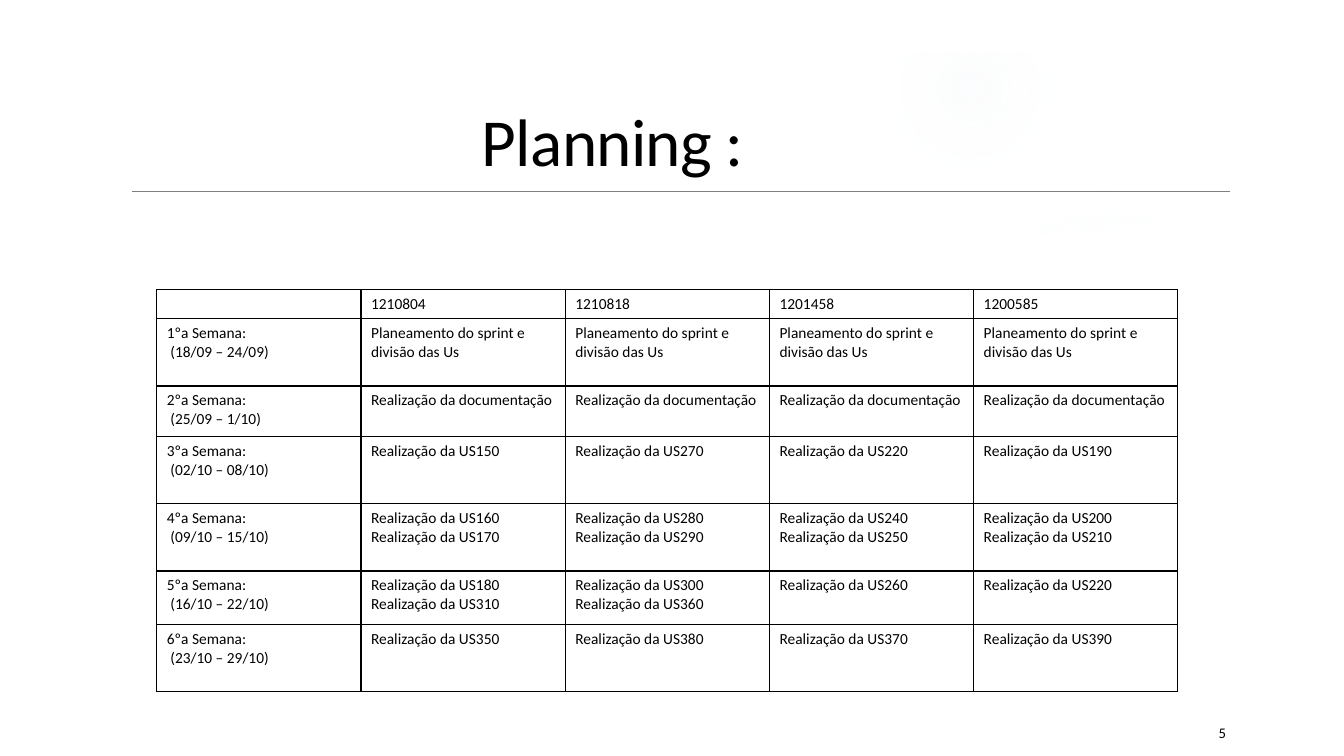
import pptx
import pptx.dml.color
import pptx.enum.shapes
import pptx.enum.text
import pptx.oxml
import pptx.oxml.ns
import pptx.util

Pt = pptx.util.Pt
ALIGN = pptx.enum.text.PP_ALIGN
ANCHOR = pptx.enum.text.MSO_ANCHOR

BLACK, GREY, WHITE, MIST = "000000", "808080", "FFFFFF", "EBF1F7"
TITLE_FORMAT = {"name": "Calibri", "size": Pt(48), "bold": False}
CELL_FORMAT = {"name": "Calibri", "size": Pt(11), "bold": False}
NUMBER_FORMAT = {"name": "Calibri", "size": Pt(10.5)}

MEMBERS = ["1210804", "1210818", "1201458", "1200585"]
WEEKS = ["18/09 – 24/09", "25/09 – 1/10", "02/10 – 08/10",
         "09/10 – 15/10", "16/10 – 22/10", "23/10 – 29/10"]
STORIES = [  # user stories of each member, from the third week on
    [["150"], ["270"], ["220"], ["190"]],
    [["160", "170"], ["280", "290"], ["240", "250"], ["200", "210"]],
    [["180", "310"], ["300", "360"], ["260"], ["220"]],
    [["350"], ["380"], ["370"], ["390"]],
]
ROW_HEIGHTS = [20.6, 48.1, 36, 48.1, 48.1, 38.2, 48.1]


def colour(code):
    return pptx.dml.color.RGBColor.from_string(code)


def write_lines(frame, lines, formats, align=ALIGN.LEFT):
    for index, line in enumerate(lines):
        para = frame.paragraphs[0] if index == 0 else frame.add_paragraph()
        para.alignment = align
        span = para.add_run()
        span.text = line
        for name, value in formats.items():
            setattr(span.font, name, value)
        span.font.color.rgb = colour(BLACK)


def add_borders(cell, code, width):
    properties = cell._tc.get_or_add_tcPr()
    for index, side in enumerate(("lnL", "lnR", "lnT", "lnB")):
        properties.insert(index, pptx.oxml.parse_xml(
            f'<a:{side} {pptx.oxml.ns.nsdecls("a")} w="{Pt(width)}">'
            f'<a:solidFill><a:srgbClr val="{code}"/></a:solidFill></a:{side}>'))


def place_glow(page, left, top, size, stops):
    glow = page.shapes.add_shape(pptx.enum.shapes.MSO_SHAPE.OVAL,
                                 Pt(left), Pt(top), Pt(size), Pt(size))
    glow.shadow.inherit = False
    glow.line.fill.background()
    marks = "".join(
        f'<a:gs pos="{place * 1000}"><a:srgbClr val="{MIST}">'
        f'<a:alpha val="{alpha * 1000}"/></a:srgbClr></a:gs>'
        for place, alpha in stops)
    glow.element.spPr.find(pptx.oxml.ns.qn("a:prstGeom")).addnext(
        pptx.oxml.parse_xml(
            f'<a:gradFill {pptx.oxml.ns.nsdecls("a")}><a:gsLst>{marks}</a:gsLst>'
            '<a:path path="circle"><a:fillToRect l="50000" t="50000" '
            'r="50000" b="50000"/></a:path></a:gradFill>'))


def place_outline(page, *contours):
    first, *others = [[(Pt(x), Pt(y)) for x, y in contour]
                      for contour in contours]
    builder = page.shapes.build_freeform(*first[0])
    builder.add_line_segments(first[1:], close=True)
    for contour in others:
        builder.move_to(*contour[0])
        builder.add_line_segments(contour[1:], close=True)
    outline = builder.convert_to_shape()
    outline.shadow.inherit = False
    outline.line.fill.background()
    outline.fill.solid()
    outline.fill.fore_color.rgb = colour(WHITE)


def place_backdrop(page, width, height):
    # Soft glows in the upper right
    place_glow(page, 677.5, 131.8, 221.8, [(0, 7), (36, 6), (69, 0)])
    place_glow(page, 630, 0, 126, [(0, 14), (36, 7), (73, 0)])
    # White panel with a sagging top edge
    place_outline(page, [
        (36, 146.9), (36, 504), (924.5, 504), (924.5, 146.9), (864, 156.2),
        (783.4, 165.6), (702.7, 172.1), (624.2, 176.4), (547.2, 177.8),
        (473, 178.6), (402.5, 177.1), (319.7, 173.5), (231.1, 167.8),
        (155.5, 161.3), (97.2, 154.8), (56.9, 149.8)])
    # White frame around the page
    place_outline(page,
                  [(0, 0), (0, height), (width, height), (width, 0)],
                  [(37.4, 37.4), (922.3, 37.4), (922.3, 502.6), (37.4, 502.6)])


def place_title(page, text, left, top, width, height):
    title = page.shapes.title
    places = {"left": left, "top": top, "width": width, "height": height}
    for name, value in places.items():
        setattr(title, name, Pt(value))
    frame = title.text_frame
    frame.auto_size = pptx.enum.text.MSO_AUTO_SIZE.NONE
    frame.vertical_anchor = ANCHOR.BOTTOM
    write_lines(frame, [text], TITLE_FORMAT)
    frame.paragraphs[0].line_spacing = 0.85
    # Slightly tightened letters
    for properties in title.element.iter(pptx.oxml.ns.qn("a:rPr")):
        properties.set("spc", "-50")
    # Bring the title in front of the backdrop
    title.element.getparent().append(title.element)


def place_rule(page, left, top, width):
    rule = page.shapes.add_connector(
        pptx.enum.shapes.MSO_CONNECTOR.STRAIGHT,
        Pt(left), Pt(top), Pt(left + width), Pt(top))
    rule.line.color.rgb = colour(GREY)
    rule.line.width = Pt(0.5)
    rule.element.spPr.append(pptx.oxml.parse_xml(
        f'<a:effectLst {pptx.oxml.ns.nsdecls("a")}/>'))


def planning_rows():
    tasks = [[["Planeamento do sprint e divisão das Us"]] * len(MEMBERS),
             [["Realização da documentação"]] * len(MEMBERS)]
    for week in STORIES:
        tasks.append([[f"Realização da US{story}" for story in stories]
                      for stories in week])
    rows = [[[]] + [[member] for member in MEMBERS]]
    for number, (dates, week) in enumerate(zip(WEEKS, tasks), start=1):
        rows.append([[f"{number}ºa Semana:", f" ({dates})"]] + week)
    return rows


def place_planning(page, left, top, width):
    rows = planning_rows()
    columns = len(rows[0])
    table = page.shapes.add_table(
        len(rows), columns, Pt(left), Pt(top), Pt(width),
        Pt(sum(ROW_HEIGHTS))).table
    for flag in ("first_row", "horz_banding"):
        setattr(table, flag, False)
    for column in table.columns:
        column.width = Pt(width / columns)
    for row, height in zip(table.rows, ROW_HEIGHTS):
        row.height = Pt(height)
    for row, contents in zip(table.rows, rows):
        for cell, lines in zip(row.cells, contents):
            cell.fill.solid()
            cell.fill.fore_color.rgb = colour(WHITE)
            add_borders(cell, BLACK, 1)
            write_lines(cell.text_frame, lines, CELL_FORMAT)
            if not lines:
                cell.text_frame.paragraphs[0].font.size = CELL_FORMAT["size"]


def place_number(page, number, left, top, width, height):
    box = page.shapes.add_textbox(Pt(left), Pt(top), Pt(width), Pt(height))
    box.text_frame.word_wrap = True
    box.text_frame.vertical_anchor = ANCHOR.MIDDLE
    write_lines(box.text_frame, [number], NUMBER_FORMAT, ALIGN.RIGHT)


def main():
    deck = pptx.Presentation()
    deck.slide_width, deck.slide_height = Pt(960), Pt(540)
    page = deck.slides.add_slide(deck.slide_layouts[5])
    # Heading and backdrop
    place_rule(page, 94.3, 136.6, 784.3)
    place_backdrop(page, 960, 540)
    place_title(page, "Planning :", 337, 18, 792, 114.5)
    # Weekly plan
    place_planning(page, 112, 206.8, 729.4)
    # Page number
    place_number(page, "5", 779.8, 508.8, 103, 28.8)
    deck.save("out.pptx")


if __name__ == "__main__":
    main()
